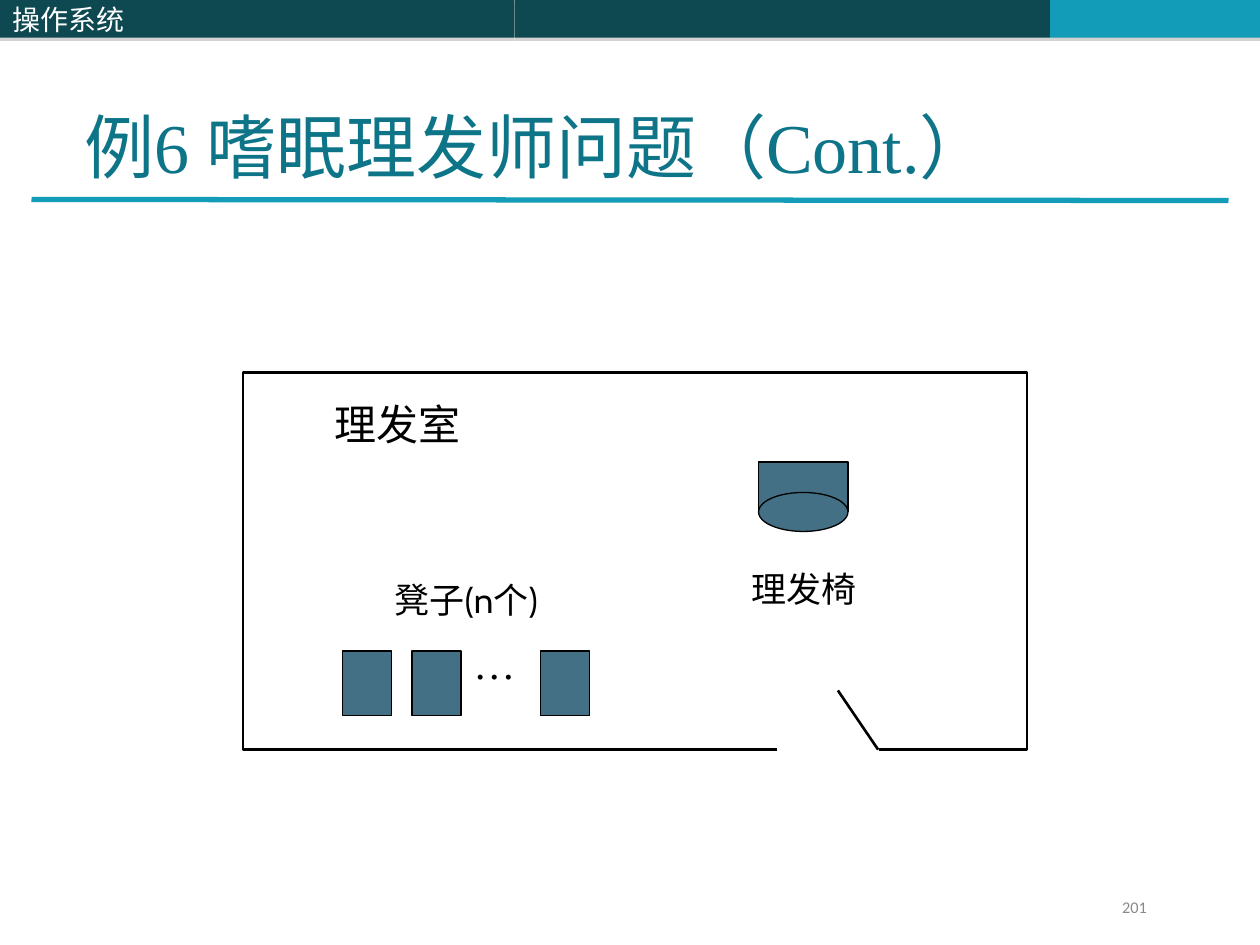
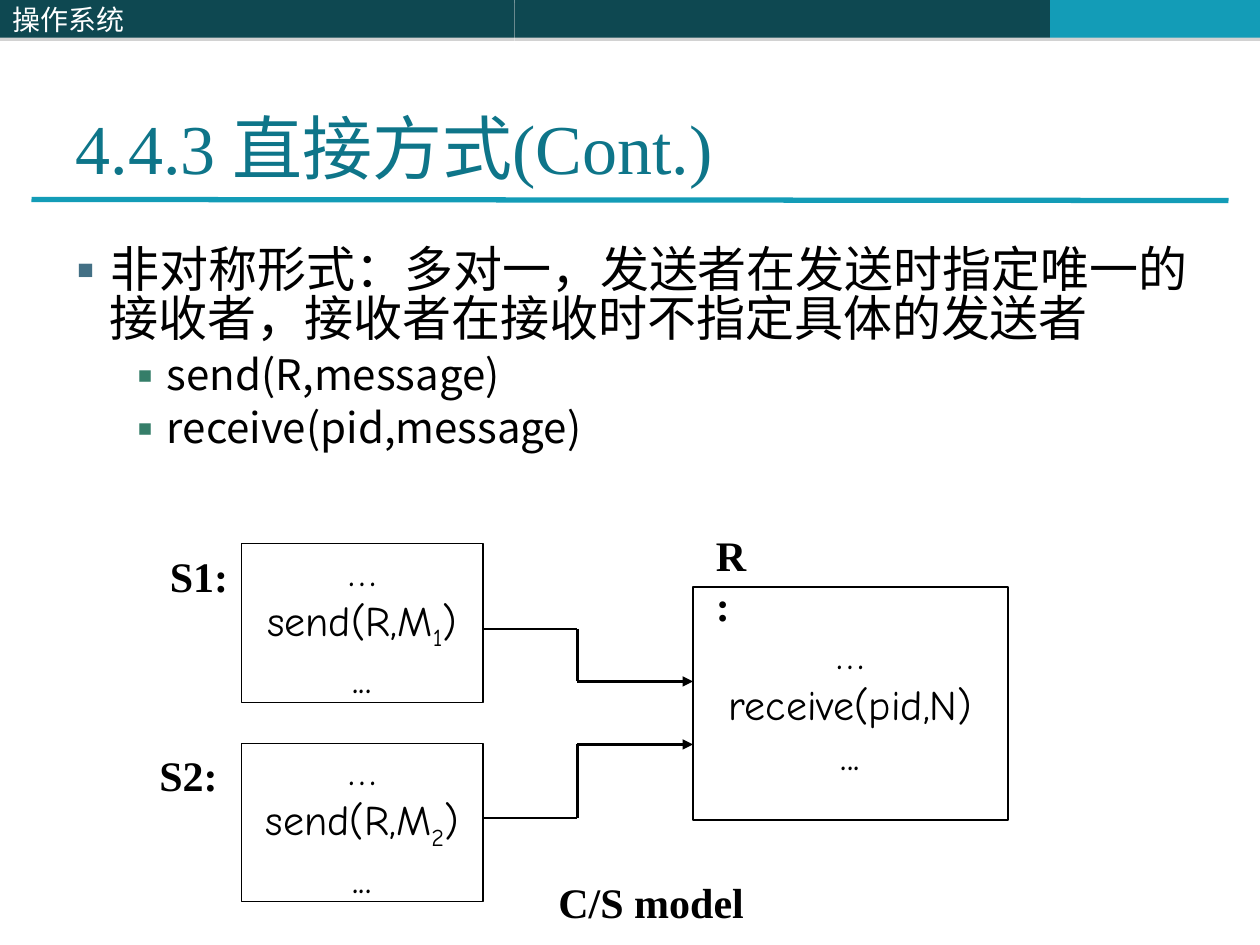
"""Build two operating-systems slides: the sleeping barber and direct messaging."""
from dataclasses import dataclass
from typing import NamedTuple, Optional, Sequence

from lxml import etree
from pptx import Presentation
from pptx.dml.color import RGBColor
from pptx.enum.shapes import MSO_CONNECTOR, MSO_SHAPE
from pptx.enum.text import MSO_ANCHOR, MSO_AUTO_SIZE, PP_ALIGN
from pptx.oxml.ns import qn
from pptx.util import Inches, Pt

RECT, OVAL = MSO_SHAPE.RECTANGLE, MSO_SHAPE.OVAL
STRAIGHT = MSO_CONNECTOR.STRAIGHT
LEFT, CENTER, RIGHT = PP_ALIGN.LEFT, PP_ALIGN.CENTER, PP_ALIGN.RIGHT
TOP, MIDDLE, BOTTOM = MSO_ANCHOR.TOP, MSO_ANCHOR.MIDDLE, MSO_ANCHOR.BOTTOM

BLACK = RGBColor(0x00, 0x00, 0x00)
WHITE = RGBColor(0xFF, 0xFF, 0xFF)
GREY = RGBColor(0x89, 0x89, 0x89)
DARK_TEAL = RGBColor(0x0E, 0x48, 0x51)
CYAN = RGBColor(0x13, 0x9C, 0xB7)
TITLE_TEAL = RGBColor(0x0E, 0x75, 0x89)
SLATE = RGBColor(0x43, 0x70, 0x85)
GREEN = RGBColor(0x35, 0x7E, 0x69)

CJK, SERIF, SANS = "Noto Sans CJK SC", "Times New Roman", "Cabin"
CODE, NUMBER = "Comic Neue", "Calibri"

SLIDE_W, SLIDE_H = Inches(10), Inches(7.5)
COLUMNS, ROWS = 120, 90


class Area(NamedTuple):
    """A rectangle in grid columns and rows."""
    col: float
    row: float
    cols: float
    rows: float


class Point(NamedTuple):
    """A grid position."""
    col: float
    row: float


@dataclass(frozen=True)
class Bullet:
    """Indents in columns and the colour of a list level."""
    level: int
    indent: float
    hanging: float
    color: RGBColor


@dataclass(frozen=True)
class Label:
    """A caption beside a drawing."""
    text: str
    area: Area
    size: float
    font: str
    bold: bool = False


@dataclass(frozen=True)
class Process:
    """A box of code lines; every second run of a line is a subscript."""
    area: Area
    lines: Sequence[Sequence[str]]


@dataclass(frozen=True)
class Flow:
    """Rows where a message leaves its sender and enters the receiver."""
    start: float
    end: float


def across(columns: float) -> int:
    """Turn grid columns into a length."""
    return round(SLIDE_W * columns / COLUMNS)


def down(rows: float) -> int:
    """Turn grid rows into a length."""
    return round(SLIDE_H * rows / ROWS)


def place(area: Area) -> tuple[int, int, int, int]:
    """Turn a grid area into left, top, width and height."""
    return across(area.col), down(area.row), across(area.cols), down(area.rows)


def add_bullet(paragraph, bullet: Bullet) -> None:
    """Give a paragraph a square bullet."""
    paragraph.level = bullet.level
    props = paragraph._p.get_or_add_pPr()
    props.set("marL", str(across(bullet.indent)))
    props.set("indent", str(-across(bullet.hanging)))
    color = etree.SubElement(props, qn("a:buClr"))
    etree.SubElement(color, qn("a:srgbClr"), val=str(bullet.color))
    etree.SubElement(props, qn("a:buFont"), typeface=CJK)
    etree.SubElement(props, qn("a:buChar"), char="▪")


def write_text(frame, lines: Sequence[Sequence[str]], *, size: float,
               font: str, color: RGBColor = BLACK, bold: bool = False,
               align=LEFT, anchor=TOP, wrap: bool = True,
               spacing: float = 1.0, before: float = 0,
               bullets: Sequence[Bullet] = (),
               sizes: Sequence[float] = ()) -> None:
    """Fill a text frame with lines, each a sequence of runs."""
    frame.word_wrap = wrap
    frame.auto_size = MSO_AUTO_SIZE.NONE
    frame.vertical_anchor = anchor
    for index, runs in enumerate(lines):
        paragraph = frame.add_paragraph() if index else frame.paragraphs[0]
        if bullets:
            add_bullet(paragraph, bullets[index])
        paragraph.alignment = align
        paragraph.line_spacing = spacing
        paragraph.space_before = Pt(before if index else 0)
        for position, text in enumerate(runs):
            run = paragraph.add_run()
            run.text = text
            run.font.size = Pt(sizes[index] if sizes else size)
            run.font.name = font
            run.font.bold = bold
            run.font.color.rgb = color
            props = run._r.get_or_add_rPr()
            etree.SubElement(props, qn("a:ea"), typeface=CJK)
            if position % 2:
                props.set("baseline", "-25000")


def draw_shape(slide, area: Area, fill: RGBColor, *, kind=RECT,
               line: Optional[RGBColor] = None, weight: float = 0.75):
    """Draw a filled shape without a shadow."""
    shape = slide.shapes.add_shape(kind, *place(area))
    shape.shadow.inherit = False
    shape.fill.solid()
    shape.fill.fore_color.rgb = fill
    if line is None:
        shape.line.fill.background()
    else:
        shape.line.color.rgb = line
        shape.line.width = Pt(weight)
    return shape


def draw_line(slide, start: Point, end: Point, *, color: RGBColor = BLACK,
              weight: float = 1.25, arrow: bool = False) -> None:
    """Draw a straight line, with an arrowhead at its end if asked."""
    line = slide.shapes.add_connector(
        STRAIGHT, across(start.col), down(start.row),
        across(end.col), down(end.row))
    line.line.color.rgb = color
    line.line.width = Pt(weight)
    if arrow:
        etree.SubElement(line.line._get_or_add_ln(), qn("a:tailEnd"),
                         type="triangle")
    etree.SubElement(line._element.spPr, qn("a:effectLst"))


def draw_band(slide, area: Area, fill: RGBColor):
    """Draw a header band with a faint shadow below."""
    band = draw_shape(slide, area, fill)
    effects = band._element.spPr.find(qn("a:effectLst"))
    shadow = etree.SubElement(effects, qn("a:outerShdw"), blurRad="0",
                              dist=str(Pt(1.8)), dir="5400000")
    color = etree.SubElement(shadow, qn("a:srgbClr"), val="808080")
    etree.SubElement(color, qn("a:alpha"), val="35000")
    return band


def draw_label(slide, label: Label) -> None:
    """Write a caption in its own text box."""
    box = slide.shapes.add_textbox(*place(label.area))
    write_text(box.text_frame, [[label.text]], size=label.size,
               font=label.font, bold=label.bold)


def move(placeholder, area: Area) -> None:
    """Put a placeholder on the grid."""
    (placeholder.left, placeholder.top,
     placeholder.width, placeholder.height) = place(area)


def start_slide(deck, layout: int, heading: str, area: Area):
    """Add a slide with the header bands, the rule and a title."""
    slide = deck.slides.add_slide(deck.slide_layouts[layout])
    draw_band(slide, Area(49, 0, 51, 3.6), DARK_TEAL)
    draw_band(slide, Area(100, 0, 20, 3.6), CYAN)
    draw_line(slide, Point(3, 19), Point(117, 19.1), color=CYAN, weight=3)
    course = draw_band(slide, Area(0, 0, 49, 3.6), DARK_TEAL)
    write_text(course.text_frame, [["操作系统"]], size=16, font=CJK,
               color=WHITE, anchor=MIDDLE)
    move(slide.shapes.title, area)
    write_text(slide.shapes.title.text_frame, [[heading]], size=40,
               font=SERIF, color=TITLE_TEAL, anchor=BOTTOM)
    return slide


def build_barber_shop(deck) -> None:
    """Draw the barber's room with its stools, chair and door."""
    slide = start_slide(deck, 5, "例6 嗜眠理发师问题（Cont.）",
                        Area(6.84, 3.5, 107.3, 15))
    draw_shape(slide, Area(23.16, 35.5, 74.64, 35.9), WHITE,
               line=BLACK, weight=1.5)
    for stool_col in (32.64, 39.24, 51.48):
        draw_shape(slide, Area(stool_col, 62, 4.68, 6.12), SLATE, line=BLACK)
    chair_col, chair_cols = 72.24, 8.52
    draw_shape(slide, Area(chair_col, 44, chair_cols, 4.7), SLATE, line=BLACK)
    draw_shape(slide, Area(chair_col, 46.9, chair_cols, 3.72), SLATE,
               kind=OVAL, line=BLACK)
    draw_shape(slide, Area(74.16, 67.7, 9.48, 7.56), WHITE,
               line=WHITE, weight=1.5)
    draw_line(slide, Point(83.64, 71.4), Point(79.8, 65.76), weight=1.5)
    for label in (
        Label("…", Area(43.9, 60.1, 6.6, 6), 24, SERIF),
        Label("凳子(n个)", Area(36.4, 54.5, 19.8, 5.3), 20, SANS),
        Label("理发椅", Area(70.4, 53.5, 14.2, 5.3), 20, SANS),
        Label("理发室", Area(30.7, 37.4, 17, 6), 24, SANS),
    ):
        draw_label(slide, label)
    number = slide.shapes.add_textbox(*place(Area(90, 85.2, 20.4, 3.2)))
    write_text(number.text_frame, [["201"]], size=9.3, font=NUMBER,
               color=GREY, align=RIGHT, spacing=0.8)


def build_direct_messaging(deck) -> None:
    """Show two senders addressing one receiver."""
    slide = start_slide(deck, 1, "4.4.3 直接方式(Cont.)",
                        Area(6, 3.6, 108, 15))
    points = slide.placeholders[1]
    move(points, Area(4.7, 23, 112, 24))
    call = Bullet(1, 9.75, 3.75, GREEN)
    write_text(points.text_frame, [
        ["非对称形式：多对一，发送者在发送时指定唯一的接收者，接收者在接收时不指定具体的发送者"],
        ["send(R,message)"],
        ["receive(pid,message)"],
    ], size=28, sizes=(28, 24, 24), font=CJK, spacing=0.84, before=6,
        bullets=(Bullet(0, 4.5, 4.5, SLATE), call, call))

    sender_col, sender_cols, receiver_col, bend_col = 23, 23, 66, 55
    sender_rows = (51.8, 70.8)
    processes = [Process(Area(receiver_col, 55.9, 30, 22.2),
                         [["…"], ["receive(pid,N)"], ["..."]])]
    processes += [
        Process(Area(sender_col, row, sender_cols, 15.1),
                [["…"], ["send(R,M", str(number), ")"], ["..."]])
        for number, row in enumerate(sender_rows, 1)]
    for process in processes:
        box = draw_shape(slide, process.area, WHITE, line=BLACK)
        write_text(box.text_frame, process.lines, size=24, font=CODE,
                   align=CENTER, anchor=MIDDLE, wrap=False)

    for flow in (Flow(59.9, 64.9), Flow(77.9, 70.9)):
        exit_point = Point(sender_col + sender_cols, flow.start)
        bend_start = Point(bend_col, flow.start)
        bend_end = Point(bend_col, flow.end)
        draw_line(slide, exit_point, bend_start)
        draw_line(slide, bend_start, bend_end)
        draw_line(slide, bend_end, Point(receiver_col, flow.end), arrow=True)

    for text, area in (
        ("C/S model", Area(52, 82.9, 37, 6)),
        ("R:", Area(67, 49.8, 6, 10.8)),
        ("S1:", Area(15, sender_rows[0], 8, 6)),
        ("S2:", Area(14, sender_rows[1], 9, 6)),
    ):
        draw_label(slide, Label(text, area, 24, SERIF, bold=True))


def main() -> None:
    """Build and save the deck."""
    deck = Presentation()
    deck.slide_width, deck.slide_height = SLIDE_W, SLIDE_H
    build_barber_shop(deck)
    build_direct_messaging(deck)
    deck.save("out.pptx")


if __name__ == "__main__":
    main()
